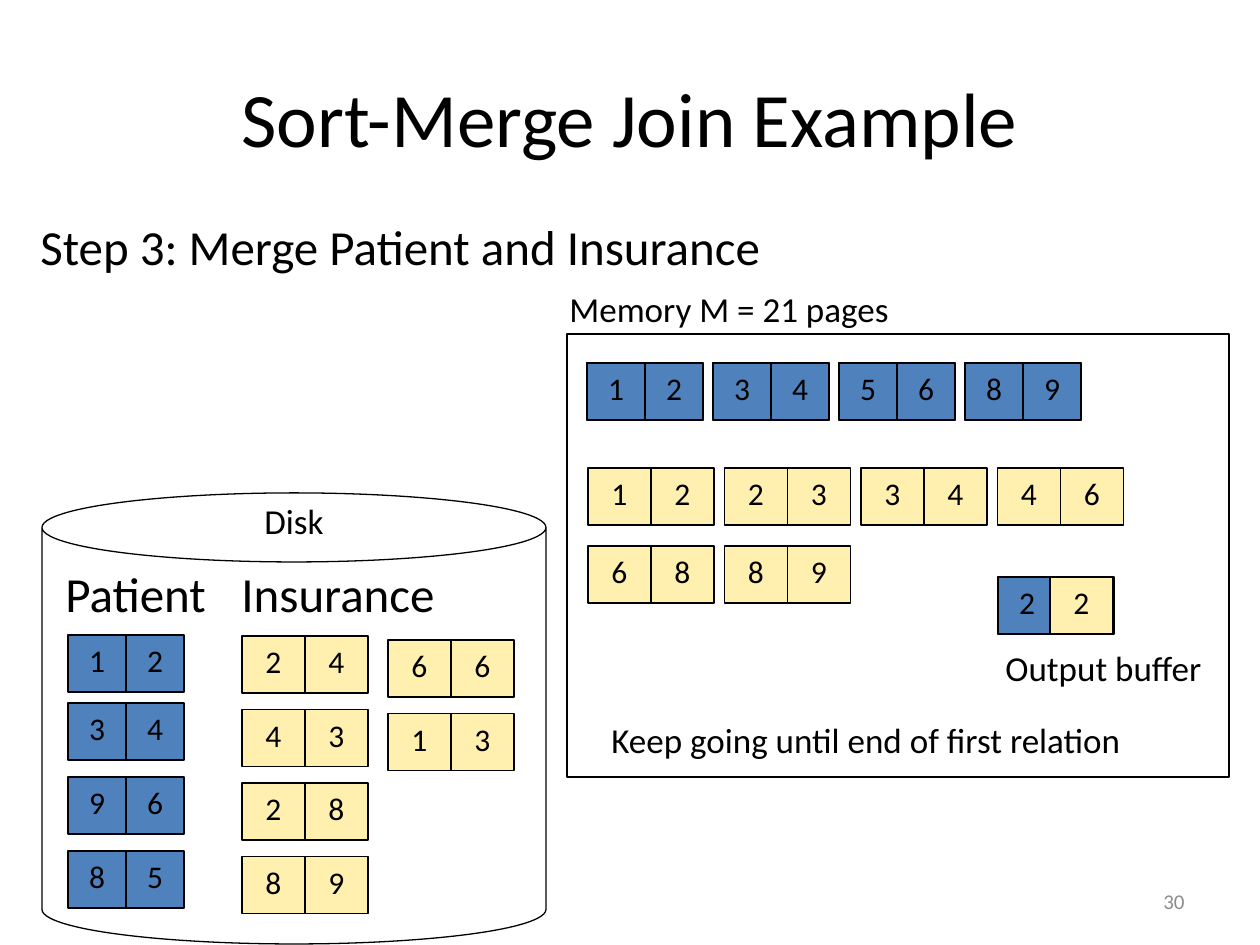
"""Build the sort-merge join slide: disk contents, memory pages and output buffer."""
from dataclasses import dataclass

from lxml import etree
from pptx import Presentation
from pptx.dml.color import RGBColor
from pptx.enum.shapes import MSO_SHAPE
from pptx.enum.text import MSO_ANCHOR, MSO_AUTO_SIZE, PP_ALIGN
from pptx.util import Emu, Pt

RECTANGLE, CAN = MSO_SHAPE.RECTANGLE, MSO_SHAPE.CAN
LEFT, CENTER, RIGHT = PP_ALIGN.LEFT, PP_ALIGN.CENTER, PP_ALIGN.RIGHT
TOP, MIDDLE = MSO_ANCHOR.TOP, MSO_ANCHOR.MIDDLE
FIT_SHAPE = MSO_AUTO_SIZE.SHAPE_TO_FIT_TEXT
EMU_PER_PIXEL = 914400 / 126
CELL_HEIGHT = 57
PATIENT_WIDTH, INSURANCE_WIDTH = 58, 63


@dataclass(frozen=True)
class Theme:
    font: str = "Calibri"
    ink: str = "000000"
    muted: str = "8C8C8C"
    patient: str = "4F81BD"
    insurance: str = "FFF0AF"
    title: int = 44
    heading: int = 28
    label: int = 20
    cell: int = 18
    footer: int = 12
    line: float = 0.75


THEME = Theme()


def px(value):
    return Emu(round(value * EMU_PER_PIXEL))


def write(frame, text, size, align, color=THEME.ink):
    para = frame.paragraphs[0]
    para.text = text
    para.alignment = align
    para.font.name = THEME.font
    para.font.size = Pt(size)
    para.font.color.rgb = RGBColor.from_string(color)


def add_text(page, text, left, top, width, height, size, align=LEFT,
             color=THEME.ink, wrap=False):
    box = page.shapes.add_textbox(px(left), px(top), px(width), px(height))
    frame = box.text_frame
    frame.word_wrap = wrap
    if wrap:
        frame.vertical_anchor = MIDDLE
    else:
        frame.auto_size = FIT_SHAPE
    write(frame, text, size, align, color)


def add_outline(page, left, top, width, height, kind=RECTANGLE, fill=None):
    shape = page.shapes.add_shape(kind, px(left), px(top), px(width), px(height))
    shape.shadow.inherit = False
    if fill:
        shape.fill.solid()
        shape.fill.fore_color.rgb = RGBColor.from_string(fill)
    else:
        shape.fill.background()
    shape.line.color.rgb = RGBColor.from_string(THEME.ink)
    shape.line.width = Pt(THEME.line)
    return shape


def add_cell(page, value, left, top, width, fill):
    cell = add_outline(page, left, top, width, CELL_HEIGHT, fill=fill)
    cell.text_frame.vertical_anchor = TOP
    write(cell.text_frame, value, THEME.cell, CENTER)


def add_patient(page, values, left, top):
    for index, value in enumerate(values):
        add_cell(page, value, left + index * PATIENT_WIDTH, top,
                 PATIENT_WIDTH, THEME.patient)


def add_insurance(page, values, left, top):
    for index, value in enumerate(values):
        add_cell(page, value, left + index * INSURANCE_WIDTH, top,
                 INSURANCE_WIDTH, THEME.insurance)


def add_disk(page):
    disk = add_outline(page, 42, 493, 504, 451, CAN)
    disk.adjustments[0] = 0.153
    add_text(page, "Disk", 252, 493, 86, 55, THEME.label)
    add_text(page, "Patient", 53, 557, 169, 72, THEME.heading)
    add_text(page, "Insurance", 229, 557, 222, 72, THEME.heading)
    for values, top in zip(("12", "34", "96", "85"), (635, 703, 777, 851)):
        add_patient(page, values, 68, top)
    for left, first, column in ((242, 636, ("24", "43", "28", "89")),
                                (388, 640, ("66", "13"))):
        for row, values in enumerate(column):
            add_insurance(page, values, left, first + row * 73.5)


def add_memory(page):
    add_outline(page, 567, 334, 662, 443)
    add_text(page, "Memory M = 21 pages", 557, 281, 348, 55, THEME.label)
    for column, values in enumerate(("12", "34", "56", "89")):
        left = 587 + column * 126
        add_outline(page, left, 363, 2 * PATIENT_WIDTH, CELL_HEIGHT)
        add_patient(page, values, left, 363)
    for top, row in ((468, ("12", "23", "34", "46")), (546, ("68", "89"))):
        for column, values in enumerate(row):
            add_insurance(page, values, 588 + column * 136.5, top)
    add_text(page, "Keep going until end of first relation",
             599, 712, 542, 55, THEME.label)


def add_output_buffer(page):
    add_outline(page, 998, 577, 2 * PATIENT_WIDTH, CELL_HEIGHT)
    add_patient(page, "2", 998, 577)
    add_insurance(page, "2", 1050, 577)
    add_text(page, "Output buffer", 993, 640, 232, 55, THEME.label)


def main():
    deck = Presentation()
    deck.slide_width, deck.slide_height = px(1260), px(945)
    page = deck.slides.add_slide(deck.slide_layouts[6])
    add_text(page, "Sort-Merge Join Example", 63, 38, 1134, 157,
             THEME.title, CENTER, wrap=True)
    add_text(page, "30", 903, 876, 294, 50, THEME.footer, RIGHT,
             THEME.muted, wrap=True)
    add_text(page, "Step 3: Merge Patient and Insurance",
             28, 210, 757, 72, THEME.heading)
    add_disk(page)
    add_memory(page)
    add_output_buffer(page)
    deck.save("out.pptx")


main()
